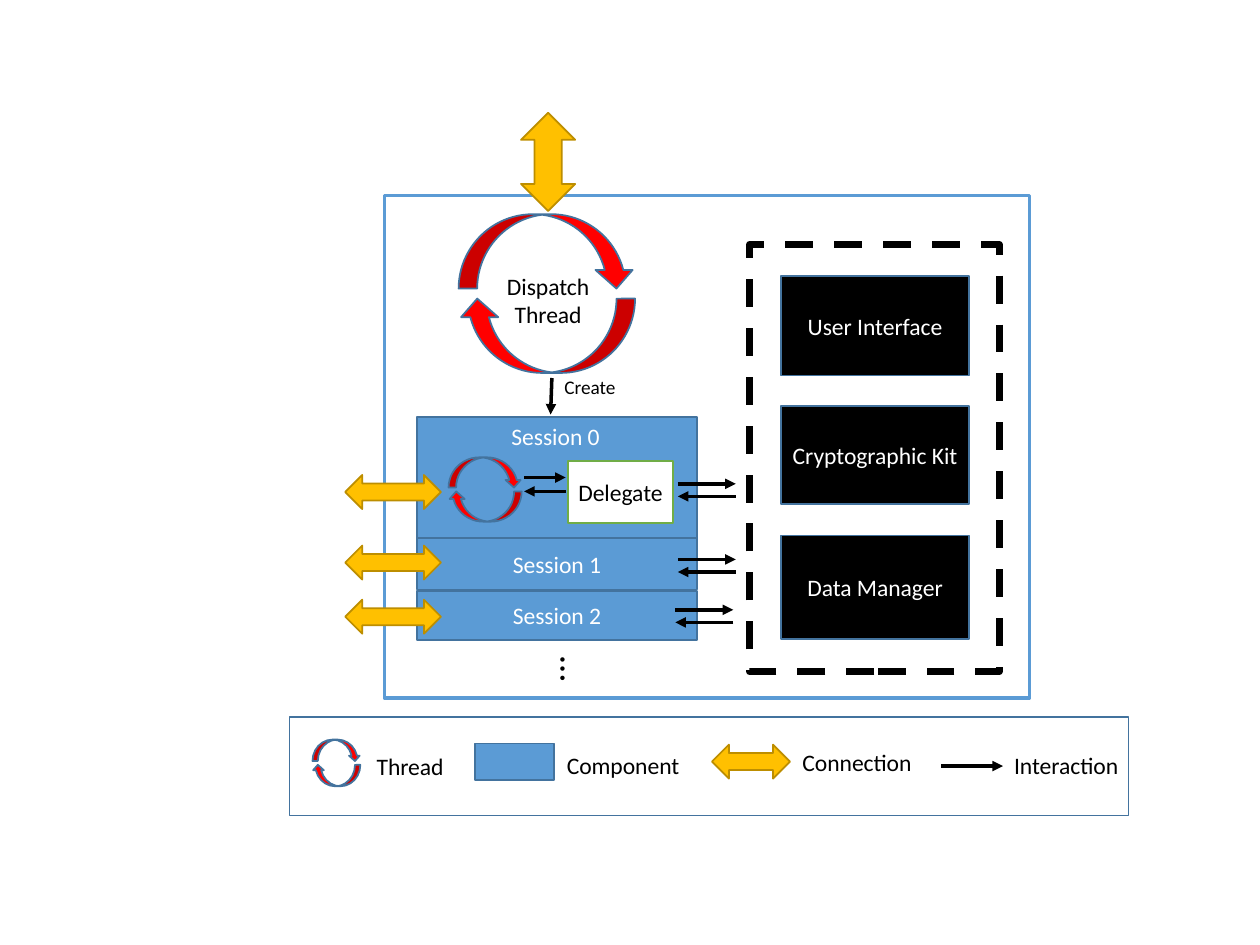
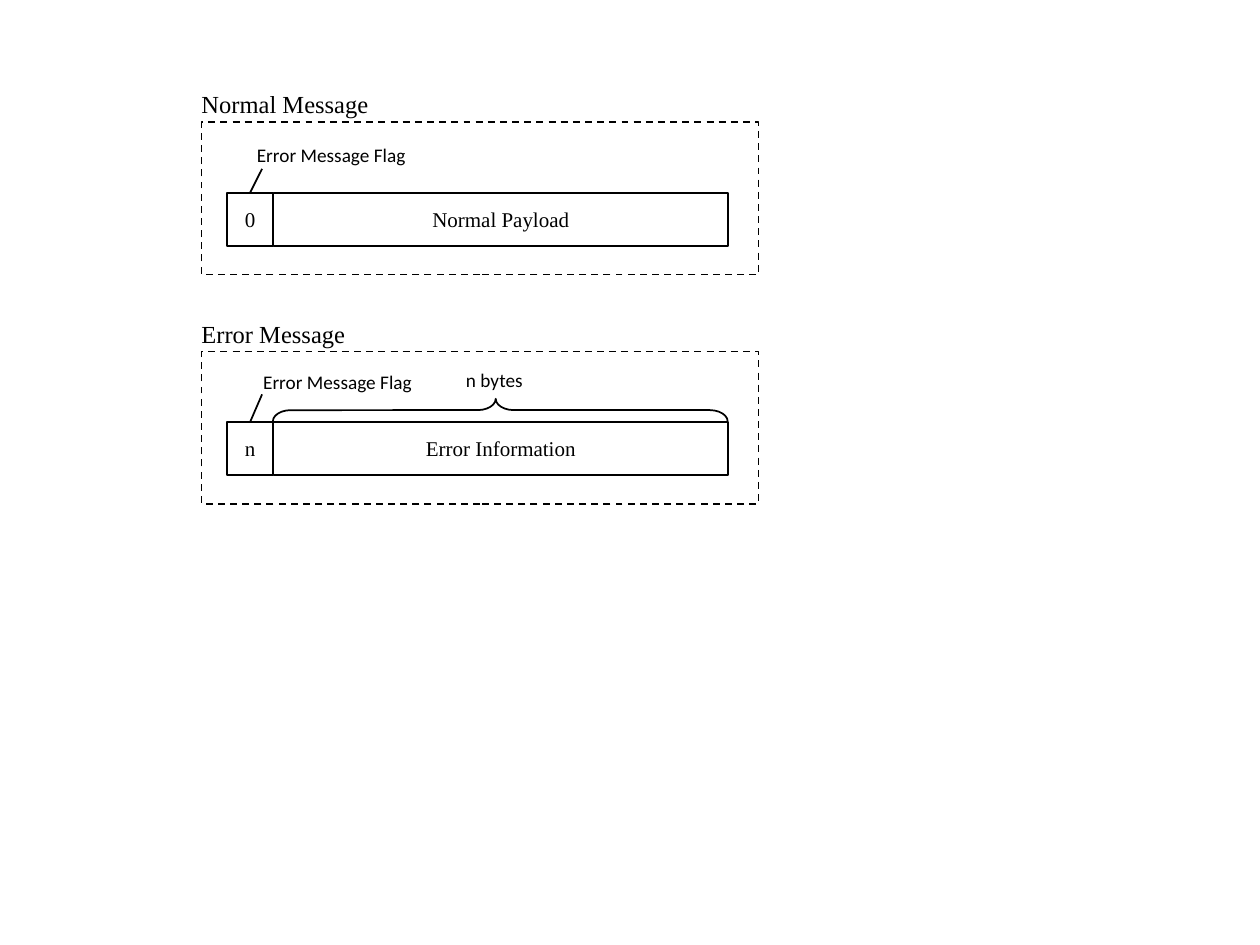
from pptx import Presentation
from pptx.dml.color import RGBColor
from pptx.enum.dml import MSO_LINE as Dash
from pptx.enum.shapes import MSO_CONNECTOR as Line, MSO_SHAPE as Shape
from pptx.enum.text import MSO_ANCHOR as Anchor, PP_ALIGN as Align
from pptx.oxml.ns import qn
from pptx.util import Pt
from lxml.etree import SubElement

PX = 9144  # 100 px to the inch
BLACK, WHITE = "000000", "FFFFFF"
BLUE, EDGE = "5B9BD5", "43739E"
RED, GOLD, GOLD_EDGE, GREEN = "FF0000", "FFC000", "BD8E00", "70AD47"
SANS, SERIF = "Calibri", "Times New Roman"


def px(*lengths):
    return [round(length * PX) for length in lengths]


def rgb(value):
    return RGBColor.from_string(value)


class Sheet:
    """Shared drawing style and the slide being drawn."""

    def __init__(self, deck):
        self.deck = deck
        self.slide = None

    def new_slide(self):
        self.slide = self.deck.slides.add_slide(self.deck.slide_layouts[6])

    def add_words(self, frame, text, size, font, color, align):
        frame.word_wrap = True
        paragraph = frame.paragraphs[0]
        paragraph.alignment = align
        run = paragraph.add_run()
        run.text = text
        run.font.size = Pt(size)
        run.font.name = font
        run.font.color.rgb = rgb(color)

    def shape(self, kind, box, fill=None, edge=EDGE, weight=1, dash=None, turn=0):
        item = self.slide.shapes.add_shape(kind, *px(*box))
        item.shadow.inherit = False
        item.rotation = turn
        if fill:
            item.fill.solid()
            item.fill.fore_color.rgb = rgb(fill)
        else:
            item.fill.background()
        item.line.color.rgb = rgb(edge)
        item.line.width = Pt(weight)
        if dash:
            item.line.dash_style = dash
        return item

    def block(self, box, text, fill=BLUE, edge=EDGE, color=WHITE, size=13.5,
              font=SANS, inset=(7, 4)):
        item = self.shape(Shape.RECTANGLE, box, fill, edge)
        frame = item.text_frame
        frame.vertical_anchor = Anchor.MIDDLE
        frame.margin_left = frame.margin_right = px(inset[0])[0]
        frame.margin_top = frame.margin_bottom = px(inset[1])[0]
        self.add_words(frame, text, size, font, color, Align.CENTER)
        return item

    def label(self, box, text, size=13.5, font=SANS, color=BLACK, align=Align.LEFT):
        item = self.slide.shapes.add_textbox(*px(*box))
        self.add_words(item.text_frame, text, size, font, color, align)
        return item

    def line(self, start, end, weight=2, arrow=True):
        item = self.slide.shapes.add_connector(Line.STRAIGHT, *px(*start, *end))
        item.line.color.rgb = rgb(BLACK)
        item.line.width = Pt(weight)
        outline = item._element.spPr.find(qn("a:ln"))
        if arrow:
            SubElement(outline, qn("a:tailEnd"), type="triangle")
        SubElement(item._element.spPr, qn("a:effectLst"))
        return item

    def exchange(self, left, right, y, gap=10):
        self.line((left, y), (right, y))
        self.line((right, y + gap), (left, y + gap))

    def thread(self, left, top, width, height, drop):
        for y, turn in ((top, 0), (top + drop, 180)):
            self.shape(Shape.CURVED_DOWN_ARROW, (left, y, width, height), RED, turn=turn)

    def connection(self, box, turn=0):
        self.shape(Shape.LEFT_RIGHT_ARROW, box, GOLD, GOLD_EDGE, turn=turn)


def draw_architecture(sheet):
    sheet.new_slide()
    sheet.shape(Shape.RECTANGLE, (305, 155, 512, 399), edge=BLUE, weight=2)

    # Dispatch thread
    sheet.thread(364, 170, 140, 59, drop=67)
    sheet.connection((396, 107, 78, 43), turn=90)
    sheet.label((391, 211, 88, 56), "Dispatch Thread", align=Align.CENTER)
    sheet.line((438, 300), (437, 329))
    sheet.label((438, 293, 68, 29), "Create", size=11)

    # Shared modules
    modules = (("User Interface", 79), ("Cryptographic Kit", 78), ("Data Manager", 82))
    for row, (module, height) in enumerate(modules):
        sheet.block((620, 219 + 103 * row, 149, height), module, fill=BLACK)
    sheet.shape(Shape.RECTANGLE, (595, 194, 198, 339), edge=BLACK, weight=4, dash=Dash.DASH)

    # Sessions: connection top, exchange left and top
    sheet.shape(Shape.RECTANGLE, (331, 331, 222, 96), BLUE)
    sheet.label((396, 330, 108, 33), "Session 0", color=WHITE)
    sheet.block((331, 427, 222, 41), "Session 1")
    sheet.block((331, 469, 222, 39), "Session 2")
    for connection_top, left, exchange_top in ((377, 538, 384), (433, 538, 444), (476, 536, 484)):
        sheet.connection((274, connection_top, 76, 27))
        sheet.exchange(left, left + 46, exchange_top)
    more = sheet.label((423, 511, 56, 36), "…", size=21)
    more.text_frame._txBody.bodyPr.set("vert", "eaVert")

    # Inside session 0
    sheet.thread(356, 363, 58, 24, drop=27)
    sheet.block((451, 366, 83, 49), "Delegate", WHITE, GREEN, BLACK)
    sheet.exchange(416, 449, 379, gap=11)

    # Legend
    sheet.shape(Shape.RECTANGLE, (230, 569, 666, 78), weight=0.75)
    sheet.thread(248, 587, 38, 17, drop=20)
    sheet.shape(Shape.RECTANGLE, (377, 590, 63, 29), BLUE)
    sheet.connection((565, 591, 62, 27))
    sheet.line((747, 608), (796, 608))
    for meaning, left, top, width in (("Thread", 289, 592, 81), ("Component", 440, 591, 115),
                                      ("Connection", 627, 589, 113), ("Interaction", 795, 591, 107)):
        sheet.label((left, top, width, 33), meaning)


def draw_message(sheet, top, title, flag, content, flag_label, leader_top):
    sheet.shape(Shape.RECTANGLE, (160, top, 442, 121), WHITE, BLACK, dash=Dash.DASH)
    sheet.label((150, top - 31, 155, 34), title, size=14, font=SERIF)
    field_style = dict(fill=WHITE, edge=BLACK, color=BLACK, size=12, font=SERIF, inset=(10, 5))
    flag_field = sheet.block((180, top + 56, 37, 42), flag, **field_style)
    sheet.block((217, top + 56, 361, 42), content, **field_style)
    sheet.label(flag_label, "Error Message Flag", size=11)
    leader = sheet.line((199, top + 56), (208, leader_top), weight=1, arrow=False)
    leader.begin_connect(flag_field, 0)


def draw_messages(sheet):
    sheet.new_slide()
    draw_message(sheet, 97, "Normal Message", "0", "Normal Payload", (194, 109, 176, 29), 134)
    draw_message(sheet, 279, "Error Message", "n", "Error Information", (199, 289, 143, 29), 313)

    # Length of the error information
    brace = sheet.shape(Shape.LEFT_BRACE, (388, 145, 18, 361), edge=BLACK, turn=90)
    brace.adjustments[0] = 0.79
    brace.adjustments[1] = 0.51
    sheet.label((360, 287, 67, 29), "n bytes", size=11)


def main():
    deck = Presentation()
    deck.slide_width, deck.slide_height = px(1000, 750)
    sheet = Sheet(deck)
    draw_architecture(sheet)
    draw_messages(sheet)
    deck.save("out.pptx")


if __name__ == "__main__":
    main()
